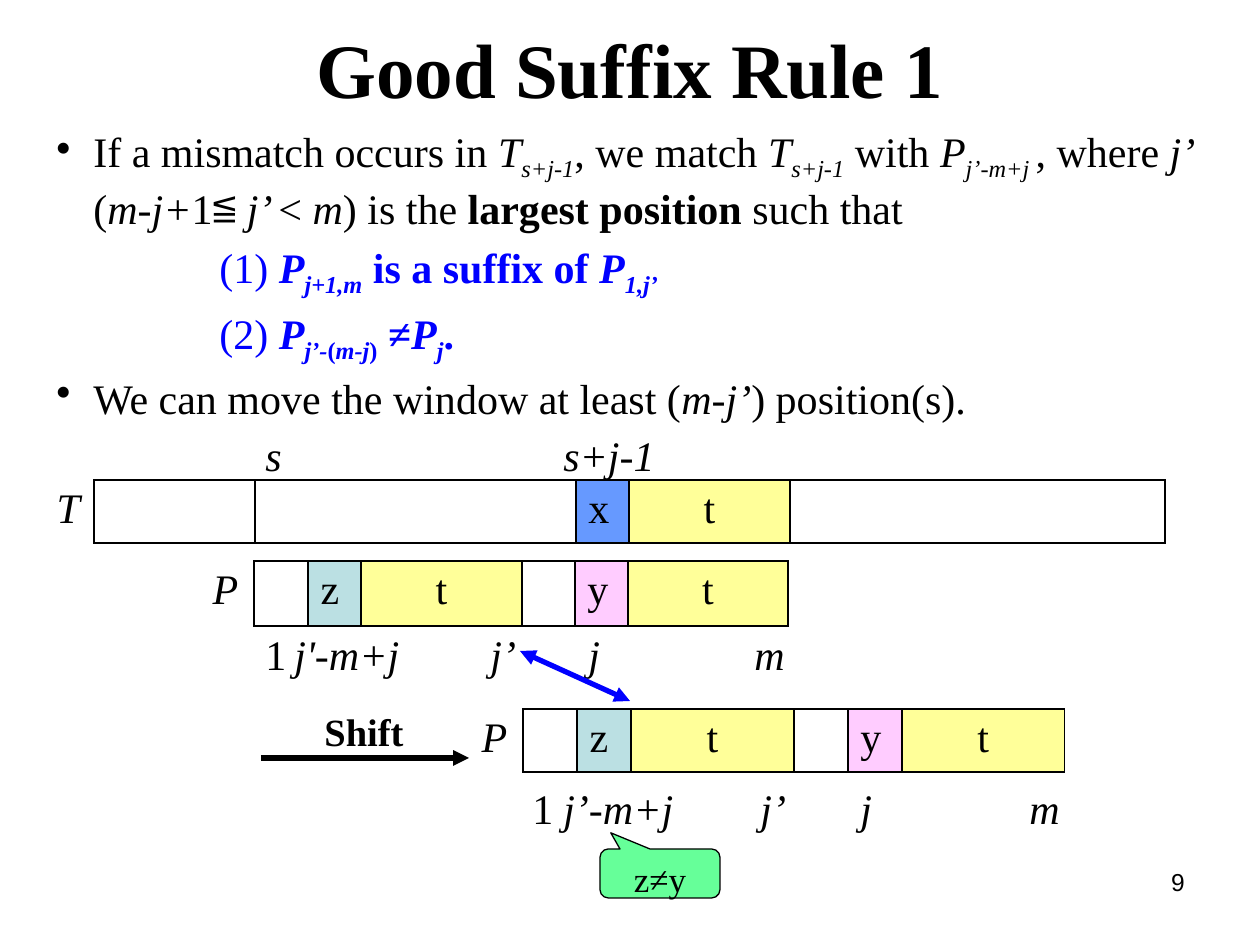
"""Build the slide on the first good suffix rule of string matching."""
from lxml.etree import SubElement
from pptx import Presentation
from pptx.dml.color import RGBColor
from pptx.enum.shapes import MSO_CONNECTOR, MSO_SHAPE
from pptx.enum.text import MSO_ANCHOR, PP_ALIGN
from pptx.oxml.ns import qn
from pptx.util import Emu, Pt

SCALE = 914400 / 126
SERIF = "Times New Roman"
COLORS = {
    "black": "000000", "blue": "0000FF", "sky": "6699FF", "teal": "BBE0E3",
    "yellow": "FFFF99", "pink": "FFCCFF", "green": "66FF99",
}

TITLE = "Good Suffix Rule 1"
BULLET = {"left": 37, "hanging": 37, "bullet": "•"}
CONDITION = {"left": 163, "color": "blue", "before": 4.8}
BODY = [
    ([("If a mismatch occurs in ", ""), ("T", "i"), ("s+j-1", "is"), (", we match ", ""),
      ("T", "i"), ("s+j-1", "is"), (" with ", ""), ("P", "i"), ("j’-m+j ", "is"),
      (", where ", ""), ("j’ ", "i"), ("(", ""), ("m-j+", "i"), ("1≦ ", ""), ("j’ ", "i"),
      ("< ", ""), ("m", "i"), (") is the ", ""), ("largest position", "b"),
      (" such that", "")], BULLET),
    ([("(1) ", ""), ("P", "bi"), ("j+1,m", "bis"), (" is a suffix of ", "b"),
      ("P", "bi"), ("1,j’", "bis")], CONDITION),
    ([("(2) ", ""), ("P", "bi"), ("j’-", "bis"), ("(", "bs"), ("m-j", "bis"), (")", "bs"),
      (" ≠", "b"), ("P", "bi"), ("j", "bis"), (".", "b")], CONDITION),
    ([("We can move the window at least (", ""), ("m", "i"), ("-", ""), ("j’", "i"),
      (") position(s).", "")], {**BULLET, "before": 4.8}),
]

PATTERN = [("P", None), ("", None), ("z", "teal"), ("t", "yellow"),
           ("", None), ("y", "pink"), ("t", "yellow")]
TEXT = [("T", None), ("", None), ("", None), ("x", "sky"), ("t", "yellow"), ("", None)]
STRIPS = [
    (TEXT, 44, 480, 60, [50, 161, 321, 53, 161, 375]),
    (PATTERN, 200, 561, 65, [54, 54, 53, 161, 53, 53, 160]),
    (PATTERN, 469, 709, 61, [54, 54, 54, 163, 54, 54, 163]),
]

LABEL_ROWS = [
    (423, [("s", 253, 41), ("s+j-1", 551, 139)]),
    (622, [("1", 253, 49), ("j'-m+j", 282, 137), ("j’", 478, 58), ("j", 576, 88),
           ("m", 742, 49)]),
    (776, [("1", 520, 49), ("j’-m+j", 551, 139), ("j’", 748, 59), ("j", 848, 89),
           ("m", 1017, 49)]),
]

ARROWS = [
    ((261, 758), (469, 758), "black", ["tailEnd"]),
    ((520, 651), (630, 701), "blue", ["headEnd", "tailEnd"]),
]


def px(*lengths):
    return [Emu(round(length * SCALE)) for length in lengths]


def rgb(name):
    return RGBColor.from_string(COLORS[name])


def write(para, text, style="", size=24, font=SERIF, color="black",
          align=PP_ALIGN.LEFT, before=0, left=0, hanging=0, bullet=None):
    properties = para._p.get_or_add_pPr()
    margin, indent = px(left, -hanging)
    properties.set("marL", str(margin))
    properties.set("indent", str(indent))
    if bullet:
        SubElement(properties, qn("a:buChar"), char=bullet)
    para.alignment = align
    para.space_before = Pt(before)
    for words, marks in [(text, style)] if isinstance(text, str) else text:
        span = para.add_run()
        span.text = words
        span.font.name = font
        span.font.size = Pt(size)
        span.font.bold = "b" in marks
        span.font.italic = "i" in marks
        span.font.color.rgb = rgb(color)
        if "s" in marks:
            span._r.get_or_add_rPr().set("baseline", "-25000")


def add_box(page, left, top, width, height):
    frame = page.shapes.add_textbox(*px(left, top, width, height)).text_frame
    frame.word_wrap = True
    return frame


def set_borders(cell, sides):
    properties = cell._tc.get_or_add_tcPr()
    for side in "LRTB":
        line = SubElement(properties, qn(f"a:ln{side}"), w=str(Pt(1)))
        if side in sides:
            paint = SubElement(line, qn("a:solidFill"))
            SubElement(paint, qn("a:srgbClr"), val=COLORS["black"])
        else:
            SubElement(line, qn("a:noFill"))


def add_strip(page, cells, left, top, height, widths):
    frame = page.shapes.add_table(1, len(cells), *px(left, top, sum(widths), height))
    table = frame.table
    table.first_row = table.horz_banding = False
    table.rows[0].height = px(height)[0]
    for index, ((text, fill), width) in enumerate(zip(cells, widths)):
        table.columns[index].width = px(width)[0]
        cell = table.cell(0, index)
        set_borders(cell, "LRTB" if index else "R")
        if fill:
            cell.fill.solid()
            cell.fill.fore_color.rgb = rgb(fill)
        else:
            cell.fill.background()
        if text:
            write(cell.text_frame.paragraphs[0], text, style="" if index else "i",
                  align=PP_ALIGN.CENTER if text == "t" else PP_ALIGN.LEFT)


def add_arrow(page, start, end, color, heads):
    arrow = page.shapes.add_connector(MSO_CONNECTOR.STRAIGHT, *px(*start, *end))
    arrow.line.color.rgb = rgb(color)
    arrow.line.width = Pt(3)
    properties = arrow._element.spPr
    for head in heads:
        SubElement(properties.find(qn("a:ln")), qn(f"a:{head}"), type="triangle")
    SubElement(properties, qn("a:effectLst"))


def add_callout(page):
    callout = page.shapes.add_shape(
        MSO_SHAPE.ROUNDED_RECTANGULAR_CALLOUT, *px(600, 849, 120, 49))
    for index, value in enumerate([-0.41, -0.83, 0.17]):
        callout.adjustments[index] = value
    callout.shadow.inherit = False
    callout.fill.solid()
    callout.fill.fore_color.rgb = rgb("green")
    callout.line.color.rgb = rgb("black")
    callout.line.width = Pt(0.75)
    callout.text_frame.vertical_anchor = MSO_ANCHOR.TOP
    write(callout.text_frame.paragraphs[0], "z≠y", size=20, align=PP_ALIGN.CENTER)


def main():
    deck = Presentation()
    deck.slide_width, deck.slide_height = px(1260, 945)
    page = deck.slides.add_slide(deck.slide_layouts[5])

    title = page.shapes.title
    title.left, title.top, title.width, title.height = px(63, 0, 1134, 135)
    title.text_frame.vertical_anchor = MSO_ANCHOR.MIDDLE
    write(title.text_frame.paragraphs[0], TITLE, style="b", size=44, align=PP_ALIGN.CENTER)

    body = add_box(page, 44, 119, 1191, 314)
    for index, (spans, layout) in enumerate(BODY):
        para = body.add_paragraph() if index else body.paragraphs[0]
        write(para, spans, **layout)

    for strip in STRIPS:
        add_strip(page, *strip)
    for top, labels in LABEL_ROWS:
        for text, left, width in labels:
            write(add_box(page, left, top, width, 63).paragraphs[0], text,
                  style="" if text == "1" else "i")
    write(add_box(page, 312, 702, 118, 59).paragraphs[0], "Shift", style="b", size=22)
    for arrow in ARROWS:
        add_arrow(page, *arrow)
    add_callout(page)
    write(add_box(page, 903, 861, 294, 66).paragraphs[0], "9", size=14, font="Arial",
          align=PP_ALIGN.RIGHT)
    deck.save("out.pptx")


if __name__ == "__main__":
    main()
